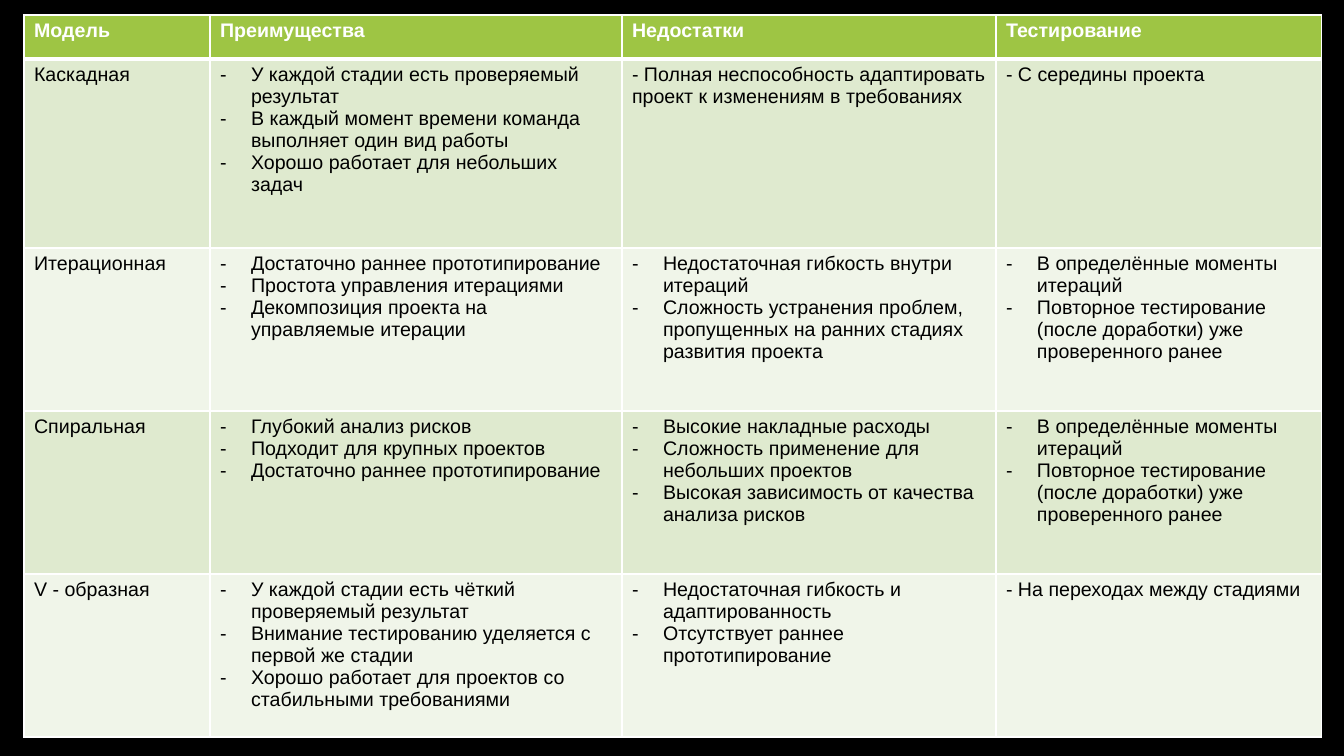
from lxml.etree import SubElement
from pptx import Presentation
from pptx.dml.color import RGBColor
from pptx.oxml import parse_xml
from pptx.oxml.ns import nsdecls, qn
from pptx.util import Pt

# A list holds dashed bullets, a string holds a plain line.
HEADINGS = ["Модель", "Преимущества", "Недостатки", "Тестирование"]
REPEATED_TESTING = [
    "В определённые моменты итераций",
    "Повторное тестирование (после доработки) уже проверенного ранее",
]
MODELS = [
    (
        "Каскадная",
        ["У каждой стадии есть проверяемый результат",
         "В каждый момент времени команда выполняет один вид работы",
         "Хорошо работает для небольших задач"],
        "- Полная неспособность адаптировать проект к изменениям в требованиях",
        "- С середины проекта",
    ),
    (
        "Итерационная",
        ["Достаточно раннее прототипирование",
         "Простота управления итерациями",
         "Декомпозиция проекта на управляемые итерации"],
        ["Недостаточная гибкость внутри итераций",
         "Сложность устранения проблем, пропущенных на ранних стадиях развития проекта"],
        REPEATED_TESTING,
    ),
    (
        "Спиральная",
        ["Глубокий анализ рисков",
         "Подходит для крупных проектов",
         "Достаточно раннее прототипирование"],
        ["Высокие накладные расходы",
         "Сложность применение для небольших проектов",
         "Высокая зависимость от качества анализа рисков"],
        REPEATED_TESTING,
    ),
    (
        "V - образная",
        ["У каждой стадии есть чёткий проверяемый результат",
         "Внимание тестированию уделяется с первой же стадии",
         "Хорошо работает для проектов со стабильными требованиями"],
        ["Недостаточная гибкость и адаптированность",
         "Отсутствует раннее прототипирование"],
        "- На переходах между стадиями",
    ),
]
COLORS = {
    "background": "000000",
    "header": "9EC544",
    "odd": "DFEACF",
    "even": "F0F5E9",
    "header_text": "FFFFFF",
    "text": "000000",
    "border": "FFFFFF",
}
FONT, FONT_SIZE = "Arial", Pt(14)
SLIDE_SIZE = (1344, 756)
TABLE_LEFT, TABLE_TOP = 24, 15
COLUMN_WIDTHS = [186, 412, 374, 326]
ROW_HEIGHTS = [44, 189, 163, 163, 163]
BULLET_INDENT = 31


def px(length):
    return round(length * 914400 / 100.8)


def rgb(name):
    return RGBColor.from_string(COLORS[name])


def add_dash(paragraph):
    """Give the paragraph a dash bullet with a hanging indent."""
    properties = paragraph._p.get_or_add_pPr()
    properties.set("marL", str(px(BULLET_INDENT)))
    properties.set("indent", str(-px(BULLET_INDENT)))
    SubElement(properties, qn("a:buFont")).set("typeface", FONT)
    SubElement(properties, qn("a:buChar")).set("char", "-")


def set_borders(cell, top, bottom):
    """Draw all four sides; top and bottom are widths in points."""
    properties = cell._tc.get_or_add_tcPr()
    sides = [("lnL", 1), ("lnR", 1), ("lnT", top), ("lnB", bottom)]
    for position, (side, width) in enumerate(sides):
        properties.insert(position, parse_xml(
            f'<a:{side} {nsdecls("a")} w="{Pt(width)}"><a:solidFill>'
            f'<a:srgbClr val="{COLORS["border"]}"/></a:solidFill></a:{side}>'))


def fill_cell(cell, content, row):
    is_header = row == 0
    cell.fill.solid()
    cell.fill.fore_color.rgb = rgb("header" if is_header else "odd" if row % 2 else "even")
    set_borders(cell, top=3 if row == 1 else 1, bottom=3 if is_header else 1)
    bulleted = isinstance(content, list)
    cell.text_frame.text = "\n".join(content) if bulleted else content
    for paragraph in cell.text_frame.paragraphs:
        if bulleted:
            add_dash(paragraph)
        font = paragraph.runs[0].font
        font.name, font.size, font.bold = FONT, FONT_SIZE, is_header
        font.color.rgb = rgb("header_text" if is_header else "text")


def main():
    deck = Presentation()
    deck.slide_width, deck.slide_height = map(px, SLIDE_SIZE)
    slide = deck.slides.add_slide(deck.slide_layouts[6])
    slide.background.fill.solid()
    slide.background.fill.fore_color.rgb = rgb("background")

    rows = [HEADINGS, *MODELS]
    comparison = slide.shapes.add_table(
        len(rows), len(HEADINGS), px(TABLE_LEFT), px(TABLE_TOP),
        px(sum(COLUMN_WIDTHS)), px(sum(ROW_HEIGHTS))).table
    for column, width in zip(comparison.columns, COLUMN_WIDTHS):
        column.width = px(width)
    for table_row, height in zip(comparison.rows, ROW_HEIGHTS):
        table_row.height = px(height)
    for row, contents in enumerate(rows):
        for column, content in enumerate(contents):
            fill_cell(comparison.cell(row, column), content, row)

    deck.save("out.pptx")


if __name__ == "__main__":
    main()
